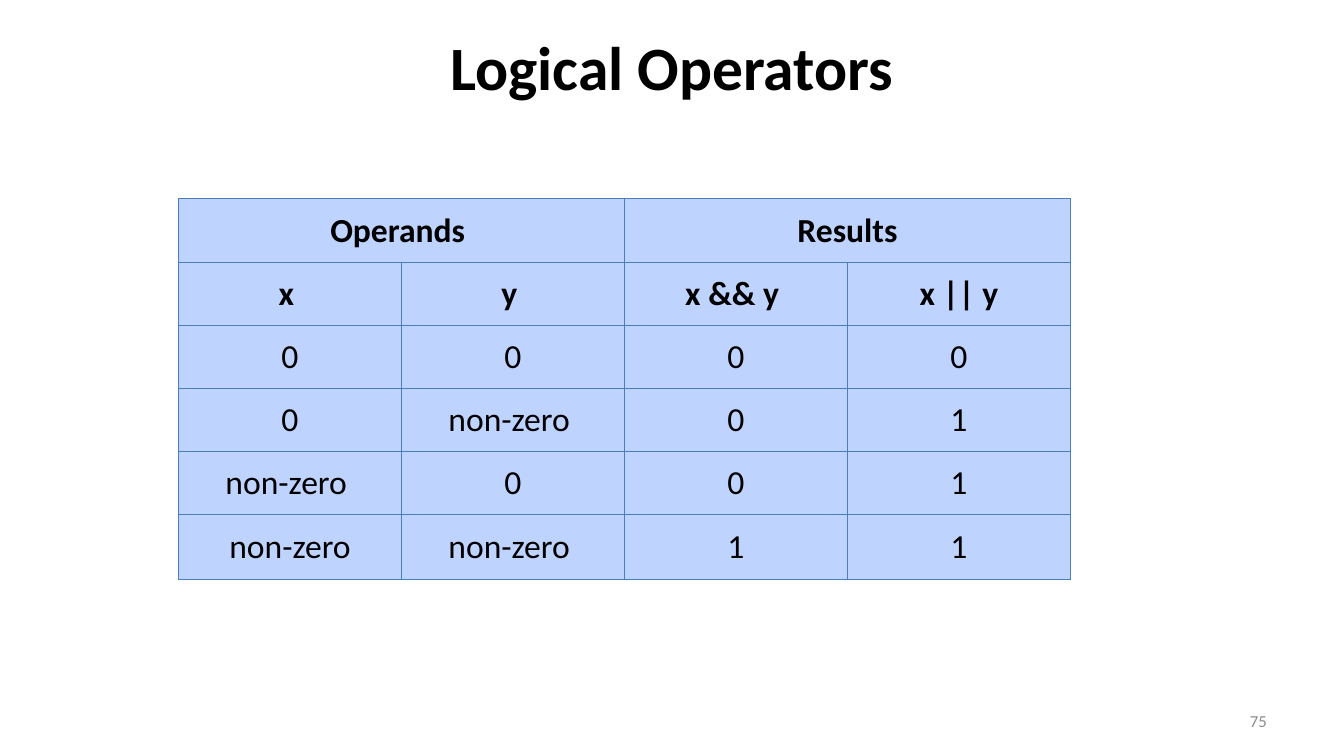
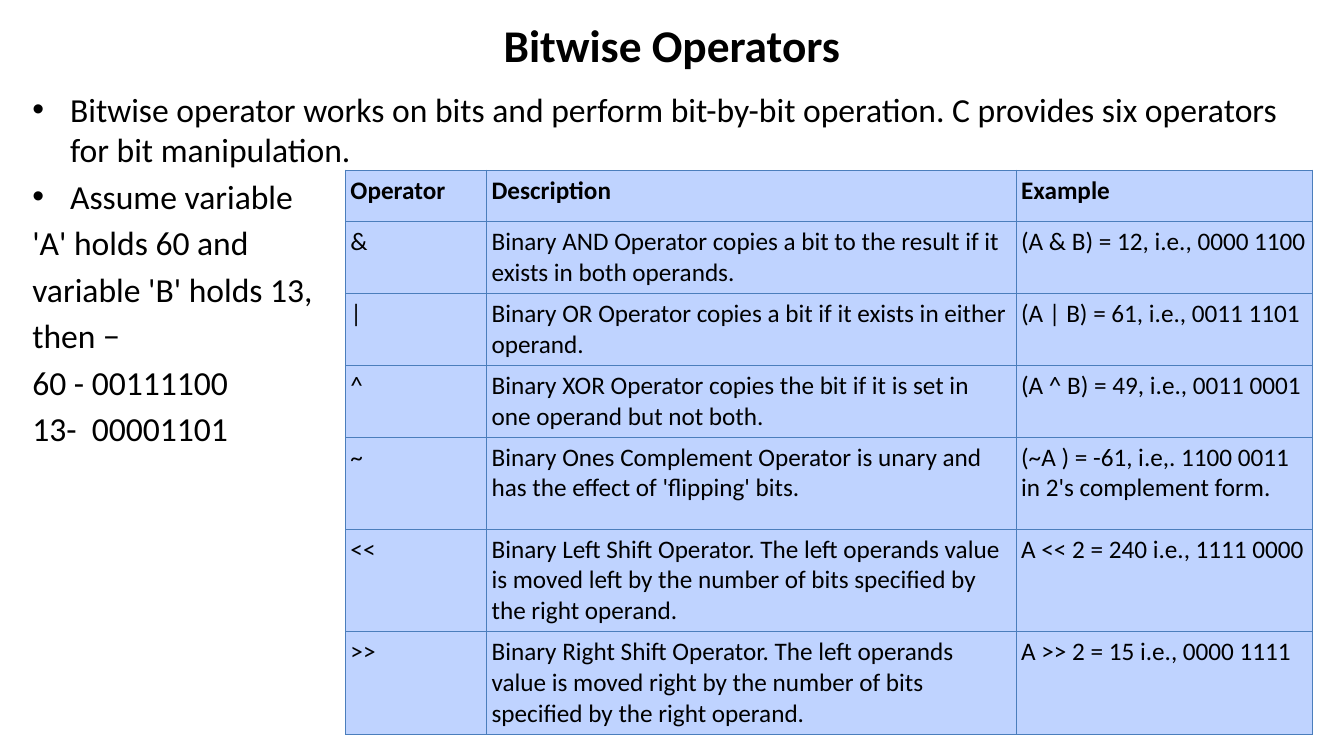
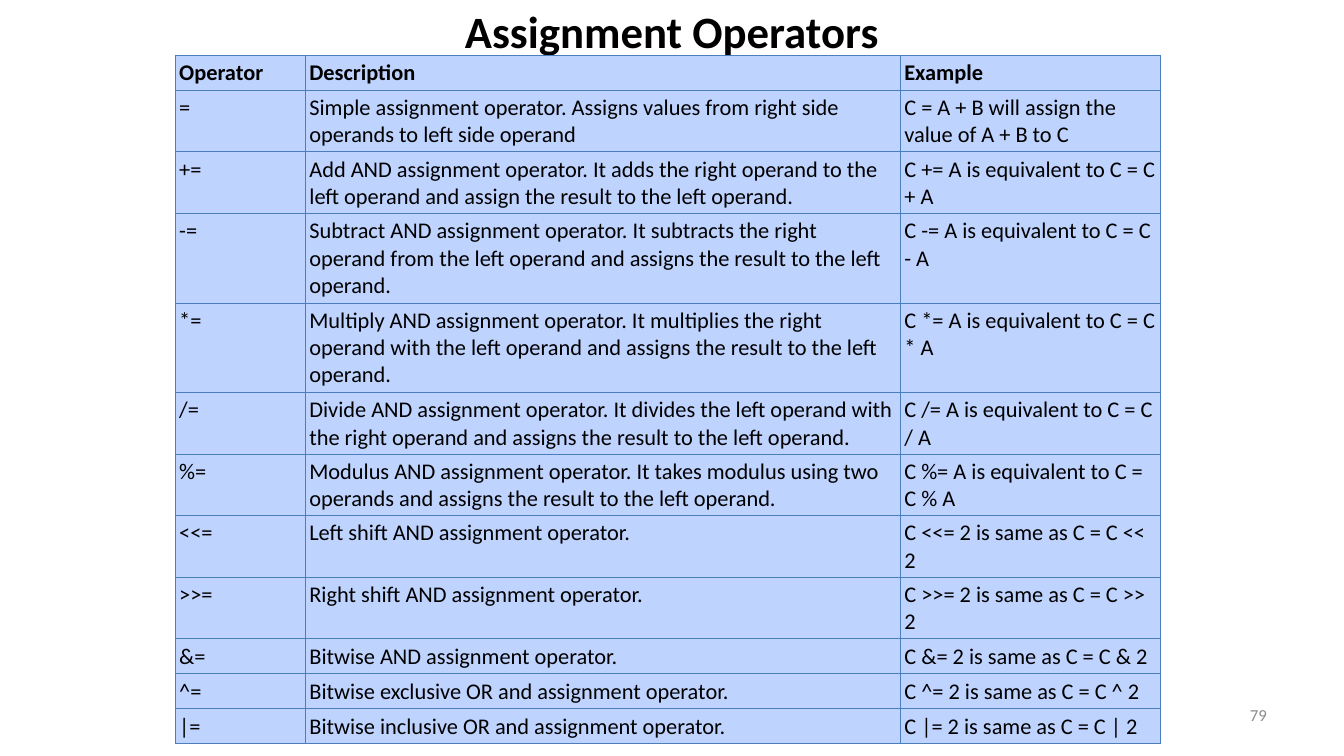
from lxml.etree import SubElement
from pptx import Presentation
from pptx.dml.color import RGBColor
from pptx.enum.text import MSO_ANCHOR as Anchor, PP_ALIGN as Align
from pptx.oxml import parse_xml
from pptx.oxml.ns import nsdecls, qn
from pptx.util import Pt

FONT = "Calibri"
COLORS = {"text": "000000", "number": "8C8C8C", "cell": "BFD3FF", "border": "4B7EBC"}
BORDER_WIDTH = 0.75
BODY_SIZE = 24
BULLET_INDENT = 27

# Each body paragraph: has a bullet, text
BITWISE_NOTES = [
    (True, "Bitwise operator works on bits and perform bit-by-bit operation. "
           "C provides six operators for bit manipulation."),
    (True, "Assume variable"),
    (False, "'A' holds 60 and"),
    (False, "variable 'B' holds 13,"),
    (False, "then −"),
    (False, "60 - 00111100"),
    (False, "13-  00001101"),
]

# None marks a cell merged into the one on its left
LOGICAL_ROWS = [
    ("Operands ", None, "Results", None),
    ("x ", "y ", "x && y ", "x || y"),
    ("0", "0", "0", "0"),
    ("0", "non-zero ", "0", "1"),
    ("non-zero ", "0", "0", "1"),
    ("non-zero", "non-zero ", "1", "1"),
]

OPERATOR_HEADER = ("Operator", "Description", "Example")

BITWISE_ROWS = [
    OPERATOR_HEADER,
    ("&", "Binary AND Operator copies a bit to the result if it exists in both operands.",
     "(A & B) = 12, i.e., 0000 1100"),
    ("|", "Binary OR Operator copies a bit if it exists in either operand.",
     "(A | B) = 61, i.e., 0011 1101"),
    ("^", "Binary XOR Operator copies the bit if it is set in one operand but not both.",
     "(A ^ B) = 49, i.e., 0011 0001"),
    ("~", "Binary Ones Complement Operator is unary and has the effect of 'flipping' bits.",
     "(~A ) = -61, i.e,. 1100 0011 in 2's complement form."),
    ("<<", "Binary Left Shift Operator. The left operands value is moved left by the "
           "number of bits specified by the right operand.",
     "A << 2 = 240 i.e., 1111 0000"),
    (">>", "Binary Right Shift Operator. The left operands value is moved right by the "
           "number of bits specified by the right operand.",
     "A >> 2 = 15 i.e., 0000 1111"),
]

ASSIGNMENT_ROWS = [
    OPERATOR_HEADER,
    ("=", "Simple assignment operator. Assigns values from right side operands to "
          "left side operand",
     "C = A + B will assign the value of A + B to C"),
    ("+=", "Add AND assignment operator. It adds the right operand to the left operand "
           "and assign the result to the left operand.",
     "C += A is equivalent to C = C + A"),
    ("-=", "Subtract AND assignment operator. It subtracts the right operand from the "
           "left operand and assigns the result to the left operand.",
     "C -= A is equivalent to C = C - A"),
    ("*=", "Multiply AND assignment operator. It multiplies the right operand with the "
           "left operand and assigns the result to the left operand.",
     "C *= A is equivalent to C = C * A"),
    ("/=", "Divide AND assignment operator. It divides the left operand with the right "
           "operand and assigns the result to the left operand.",
     "C /= A is equivalent to C = C / A"),
    ("%=", "Modulus AND assignment operator. It takes modulus using two operands and "
           "assigns the result to the left operand.",
     "C %= A is equivalent to C = C % A"),
    ("<<=", "Left shift AND assignment operator.", "C <<= 2 is same as C = C << 2"),
    (">>=", "Right shift AND assignment operator.", "C >>= 2 is same as C = C >> 2"),
    ("&=", "Bitwise AND assignment operator.", "C &= 2 is same as C = C & 2"),
    ("^=", "Bitwise exclusive OR and assignment operator.", "C ^= 2 is same as C = C ^ 2"),
    ("|=", "Bitwise inclusive OR and assignment operator.", "C |= 2 is same as C = C | 2"),
]

# title: text, size, top, height; number: text, height
SLIDES = [
    {
        "title": ("Logical Operators", 44, 15, 63.5),
        "number": ("75", 29),
        "table": {
            "rows": LOGICAL_ROWS, "at": (127.5, 141.75), "widths": [159.3] * 4,
            "heights": [46, 45, 45, 45, 45, 46], "size": 24, "header_rows": 2,
            "margin": 0.7, "align": Align.CENTER, "anchor": Anchor.MIDDLE,
        },
    },
    {
        "title": ("Bitwise Operators", 32.4, 15, 34),
        "notes": BITWISE_NOTES,
        "table": {
            "rows": BITWISE_ROWS, "at": (246.75, 121.5), "widths": [100.8, 378.25, 211.5],
            "heights": [37, 51.25, 51.25, 51.25, 65.75, 73.5, 73.5], "size": 18,
            "header_rows": 1, "margin": 3.6, "align": Align.LEFT, "anchor": Anchor.TOP,
        },
    },
    {
        "title": ("Assignment Operators", 32, 0, 43),
        "number": ("79", 19.5),
        "table": {
            "rows": ASSIGNMENT_ROWS, "at": (125.25, 39.5), "widths": [93, 425, 186],
            "heights": [25] + [44] * 2 + [64] * 2 + [44] * 4 + [25] * 3, "size": 16,
            "header_rows": 1, "margin": 2.75, "align": Align.LEFT, "anchor": Anchor.TOP,
        },
    },
]


def add_run(paragraph, text, size, color="text", bold=False):
    run = paragraph.add_run()
    run.text = text
    run.font.name = FONT
    run.font.size = Pt(size)
    run.font.bold = bold
    run.font.color.rgb = RGBColor.from_string(COLORS[color])


def add_text_frame(slide, left, top, width, height, anchor=Anchor.MIDDLE):
    frame = slide.shapes.add_textbox(Pt(left), Pt(top), Pt(width), Pt(height)).text_frame
    frame.word_wrap = True
    frame.vertical_anchor = anchor
    return frame


def add_title(slide, text, size, top, height):
    paragraph = add_text_frame(slide, 48, top, 864, height).paragraphs[0]
    paragraph.alignment = Align.CENTER
    add_run(paragraph, text, size, bold=True)


def add_number(slide, text, height):
    paragraph = add_text_frame(slide, 688, 500.5, 224, height).paragraphs[0]
    paragraph.alignment = Align.RIGHT
    add_run(paragraph, text, 12, "number")


def add_bullet(paragraph):
    properties = paragraph._p.get_or_add_pPr()
    properties.set("marL", str(Pt(BULLET_INDENT)))
    properties.set("indent", str(-Pt(BULLET_INDENT)))
    SubElement(properties, qn("a:buFont")).set("typeface", "Arial")
    SubElement(properties, qn("a:buChar")).set("char", "•")


def add_notes(slide, notes):
    frame = add_text_frame(slide, 16, 60, 924, 463, Anchor.TOP)
    for index, (bulleted, text) in enumerate(notes):
        paragraph = frame.add_paragraph() if index else frame.paragraphs[0]
        paragraph.space_before = Pt(4.4)
        if bulleted:
            add_bullet(paragraph)
        add_run(paragraph, text, BODY_SIZE)


def add_borders(cell):
    properties = cell._tc.get_or_add_tcPr()
    for index, side in enumerate(("lnL", "lnR", "lnT", "lnB")):
        properties.insert(index, parse_xml(
            f'<a:{side} {nsdecls("a")} w="{Pt(BORDER_WIDTH)}"><a:solidFill>'
            f'<a:srgbClr val="{COLORS["border"]}"/></a:solidFill></a:{side}>'))


def add_table(slide, rows, at, widths, heights, size, header_rows, margin, align, anchor):
    left, top = at
    table = slide.shapes.add_table(len(rows), len(widths), Pt(left), Pt(top),
                                   Pt(sum(widths)), Pt(sum(heights))).table
    table.first_row = table.horz_banding = False
    for column, width in zip(table.columns, widths):
        column.width = Pt(width)
    for row, height in zip(table.rows, heights):
        row.height = Pt(height)
    for row_index, texts in enumerate(rows):
        for column_index, text in enumerate(texts):
            cell = table.cell(row_index, column_index)
            cell.fill.solid()
            cell.fill.fore_color.rgb = RGBColor.from_string(COLORS["cell"])
            add_borders(cell)
            if text is None:
                table.cell(row_index, column_index - 1).merge(cell)
                continue
            cell.margin_left = cell.margin_right = Pt(margin)
            cell.margin_top = cell.margin_bottom = Pt(margin)
            cell.vertical_anchor = anchor
            paragraph = cell.text_frame.paragraphs[0]
            paragraph.alignment = align
            add_run(paragraph, text, size, bold=row_index < header_rows)


def main():
    presentation = Presentation()
    presentation.slide_width, presentation.slide_height = Pt(960), Pt(540)
    for content in SLIDES:
        slide = presentation.slides.add_slide(presentation.slide_layouts[6])
        add_title(slide, *content["title"])
        if "notes" in content:
            add_notes(slide, content["notes"])
        add_table(slide, **content["table"])
        if "number" in content:
            add_number(slide, *content["number"])
    presentation.save("out.pptx")


if __name__ == "__main__":
    main()
